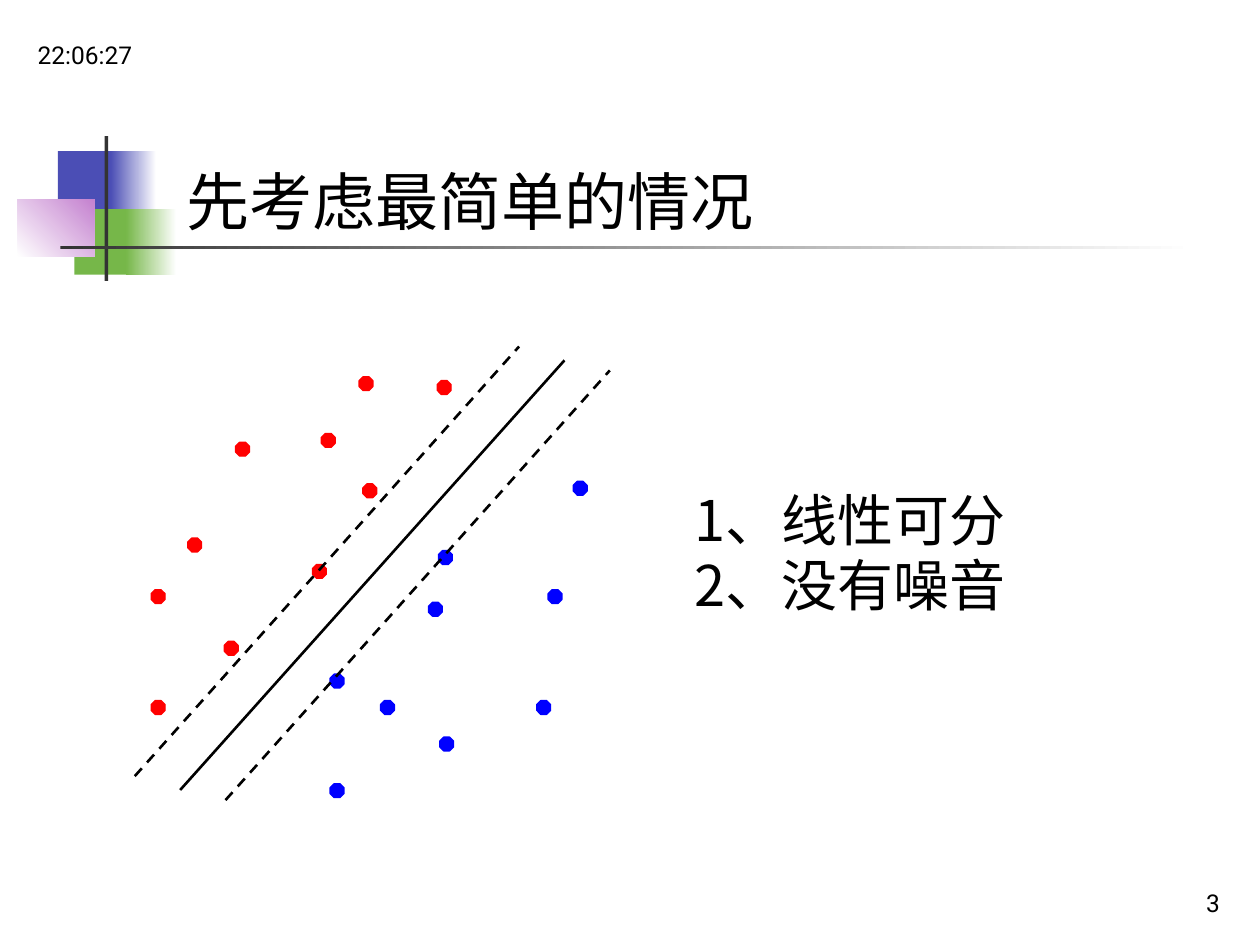
from lxml.etree import SubElement
from pptx import Presentation
from pptx.dml.color import RGBColor
from pptx.enum.dml import MSO_LINE
from pptx.enum.shapes import MSO_CONNECTOR, MSO_SHAPE
from pptx.enum.text import MSO_ANCHOR, MSO_AUTO_SIZE, PP_ALIGN
from pptx.oxml.ns import qn
from pptx.util import Inches, Pt

COLORS = {
    "indigo": "4B4EB5", "green": "76B749", "violet": "C481CF",
    "gray": "333333", "white": "FFFFFF", "black": "000000",
    "red": "FF0000", "blue": "0000FF",
}
CJK = "Noto Sans CJK JP"
LATIN = "Roboto"


def rgb(name):
    return RGBColor.from_string(COLORS[name])


def write_text(shape, lines, box, size, font=CJK, align=PP_ALIGN.LEFT,
               anchor=MSO_ANCHOR.TOP, line_spacing=1.0, gap=0, hanging=0):
    shape.left, shape.top, shape.width, shape.height = map(Inches, box)
    frame = shape.text_frame
    frame.word_wrap = True
    frame.auto_size = MSO_AUTO_SIZE.NONE
    frame.vertical_anchor = anchor
    frame.text = "\n".join(lines)
    for index, paragraph in enumerate(frame.paragraphs):
        properties = paragraph._p.get_or_add_pPr()
        properties.set("marL", str(Inches(hanging)))
        properties.set("indent", str(-Inches(hanging)))
        SubElement(properties, qn("a:buNone"))
        paragraph.alignment = align
        paragraph.line_spacing = line_spacing
        paragraph.space_before = Pt(gap if index else 0)
        for run in paragraph.runs:
            run.font.name = font
            run.font.size = Pt(size)
            run.font.color.rgb = rgb("black")
            SubElement(run._r.get_or_add_rPr(), qn("a:ea"), typeface=font)


presentation = Presentation()
presentation.slide_width = Inches(10)
presentation.slide_height = Inches(7.5)
slide = presentation.slides.add_slide(presentation.slide_layouts[1])
shapes = slide.shapes

# Corner ornament and title rule: box, colours from start to end, angle
ornament = [
    ((0.46, 1.2, 0.48, 0.52), ["indigo"], 0),
    ((0.88, 1.2, 0.36, 0.52), ["indigo", "white"], 0),
    ((0.59, 1.66, 0.46, 0.52), ["green"], 0),
    ((1, 1.66, 0.4, 0.52), ["green", "white"], 0),
    ((0.14, 1.58, 0.61, 0.46), ["white", "violet"], 45),
    ((0.83, 1.08, 0.03, 1.15), ["gray"], 0),
    ((0.48, 1.95, 9, 0.03), ["gray", "white"], 0),
]
for box, colors, angle in ornament:
    block = shapes.add_shape(MSO_SHAPE.RECTANGLE, *map(Inches, box))
    block.shadow.inherit = False
    block.line.fill.background()
    if len(colors) == 1:
        block.fill.solid()
        block.fill.fore_color.rgb = rgb(colors[0])
    else:
        block.fill.gradient()
        block.fill.gradient_angle = angle
        for stop, color, position in zip(block.fill.gradient_stops, colors, (0, 1)):
            stop.color.rgb = rgb(color)
            stop.position = position

# Two classes of sample points
DOT = 0.11
points = {
    "red": [(2.88, 3.84), (1.49, 4.27), (1.78, 5.09), (1.2, 5.56), (1.87, 3.51),
            (1.2, 4.68), (2.55, 3.44), (2.48, 4.48), (2.85, 2.99), (3.47, 3.02)],
    "blue": [(3.48, 4.37), (3.02, 5.56), (4.26, 5.56), (2.62, 6.22), (3.4, 4.78),
             (2.62, 5.35), (3.49, 5.85), (4.35, 4.68), (4.55, 3.82)],
}
for color, corners in points.items():
    for left, top in corners:
        dot = shapes.add_shape(MSO_SHAPE.OCTAGON, Inches(left), Inches(top),
                               Inches(DOT), Inches(DOT))
        dot.shadow.inherit = False
        dot.fill.solid()
        dot.fill.fore_color.rgb = rgb(color)
        dot.line.color.rgb = rgb(color)
        dot.line.width = Pt(0.75)

# Separating line and its two parallel margins
RUN, RISE = 3.05, 3.41
for left, bottom, dashed in [(1.43, 6.27, False), (1.79, 6.35, True), (1.07, 6.16, True)]:
    line = shapes.add_connector(MSO_CONNECTOR.STRAIGHT, Inches(left), Inches(bottom),
                                Inches(left + RUN), Inches(bottom - RISE))
    line.line.color.rgb = rgb("black")
    line.line.width = Pt(1.5)
    if dashed:
        line.line.dash_style = MSO_LINE.DASH
    SubElement(line._element.spPr, qn("a:effectLst"))

# Title and list
write_text(shapes.title, ["先考虑最简单的情况"], (1.38, 1.31, 7.17, 0.7), 36,
           line_spacing=0.9)
write_text(slide.placeholders[1], ["1、线性可分", "2、没有噪音"],
           (5.41, 3.86, 4.37, 0.95), 32, line_spacing=0.9, gap=3, hanging=0.38)

# Time and slide number
for text, box, align in [("22:06:27", (0.2, 0.1, 2.08, 0.5), PP_ALIGN.LEFT),
                         ("3", (7.7, 6.83, 2.08, 0.5), PP_ALIGN.RIGHT)]:
    write_text(shapes.add_textbox(0, 0, 0, 0), [text], box, 14, font=LATIN,
               align=align, anchor=MSO_ANCHOR.BOTTOM)

presentation.save("out.pptx")
